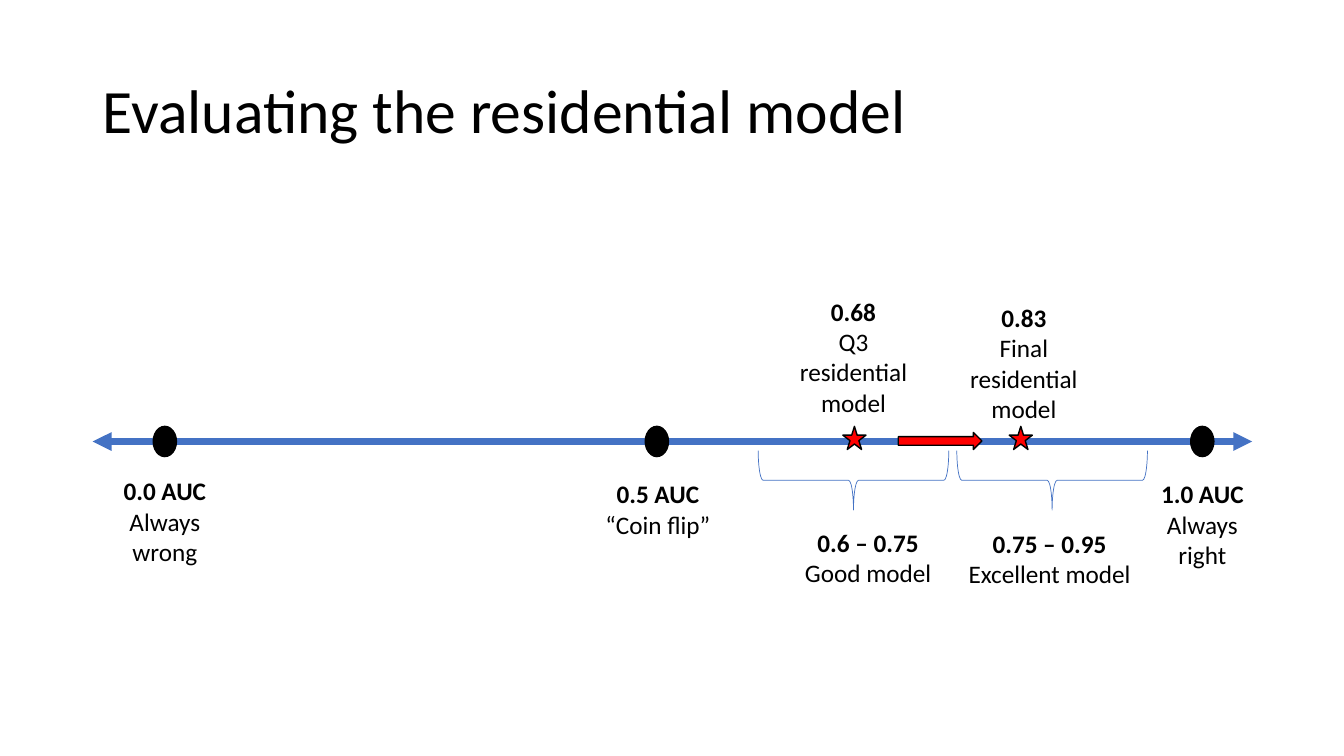
from lxml import etree
from pptx import Presentation
from pptx.dml.color import RGBColor
from pptx.enum.shapes import MSO_CONNECTOR, MSO_SHAPE
from pptx.enum.text import MSO_ANCHOR, PP_ALIGN
from pptx.oxml.ns import qn
from pptx.util import Inches, Pt

LINE = MSO_CONNECTOR.STRAIGHT
DOT, STAR = MSO_SHAPE.OVAL, MSO_SHAPE.STAR_5_POINT
ARROW, BRACE = MSO_SHAPE.RIGHT_ARROW, MSO_SHAPE.LEFT_BRACE
MIDDLE, TOP = MSO_ANCHOR.MIDDLE, MSO_ANCHOR.TOP
LEFT, CENTER = PP_ALIGN.LEFT, PP_ALIGN.CENTER
BLACK = RGBColor(0x00, 0x00, 0x00)
BLUE = RGBColor(0x44, 0x72, 0xC4)
RED = RGBColor(0xFF, 0x00, 0x00)

# Content: labels are (score, note, left, top, width, height)
TITLE = "Evaluating the residential model"
LABELS = [
    ("0.0 AUC", "Always wrong", 1.03, 4.67, 1.21, 1.01),
    ("1.0 AUC", "Always right", 11.32, 4.7, 1.21, 1.01),
    ("0.5 AUC", "“Coin flip”", 5.84, 4.7, 1.37, 0.71),
    ("0.6 – 0.75", "Good model", 7.8, 5.18, 1.62, 0.71),
    ("0.75 – 0.95", "Excellent model", 9.5, 5.19, 1.82, 0.71),
    ("0.68", "Q3 residential model", 7.72, 2.89, 1.49, 1.31),
    ("0.83", "Final residential model", 9.41, 2.95, 1.49, 1.31),
]
AXIS = (0.92, 12.42, 4.38)  # start, end, height on the slide
DOTS = [1.52, 6.4, 11.81]
STARS = [8.36, 10.01]
BRACES = [8.17, 10.14]

deck = Presentation()
deck.slide_width, deck.slide_height = Inches(13.33), Inches(7.5)
slide = deck.slides.add_slide(deck.slide_layouts[6])
shapes = slide.shapes


def add_text(lines, box, size, align, anchor=TOP, space=1.0):
    """Write (text, bold) lines into a wrapped text box."""
    frame = shapes.add_textbox(*map(Inches, box)).text_frame
    frame.word_wrap = True
    frame.vertical_anchor = anchor
    for i, (text, bold) in enumerate(lines):
        para = frame.add_paragraph() if i else frame.paragraphs[0]
        para.alignment, para.line_spacing = align, space
        run = para.add_run()
        run.text = text
        look = {"name": "Calibri", "size": Pt(size), "bold": bold}
        for key, value in look.items():
            setattr(run.font, key, value)
        run.font.color.rgb = BLACK


def add_mark(kind, box, fill, line=BLACK, width=1, turn=0):
    mark = shapes.add_shape(kind, *map(Inches, box))
    mark.shadow.inherit = False
    mark.rotation = turn
    if fill is None:
        mark.fill.background()
    else:
        mark.fill.solid()
        mark.fill.fore_color.rgb = fill
    mark.line.color.rgb = line
    mark.line.width = Pt(width)


# Title
add_text([(TITLE, False)], (0.92, 0.4, 11.5, 1.45), 44, LEFT, MIDDLE, 0.9)

# Score axis with an arrowhead at each end
start, end, level = map(Inches, AXIS)
axis = shapes.add_connector(LINE, start, level, end, level)
axis.line.color.rgb = BLUE
axis.line.width = Pt(4.5)
for tag in ("a:headEnd", "a:tailEnd"):
    etree.SubElement(axis.line._get_or_add_ln(), qn(tag)).set("type", "triangle")
etree.SubElement(axis._element.spPr, qn("a:effectLst"))

# Marks on and below the axis
for x in DOTS:
    add_mark(DOT, (x, 4.23, 0.23, 0.3), BLACK)
for x in BRACES:
    add_mark(BRACE, (x, 3.82, 0.59, 1.89), None, BLUE, 0.5, 270)
for x in STARS:
    add_mark(STAR, (x, 4.23, 0.23, 0.23), RED)
add_mark(ARROW, (8.91, 4.29, 0.83, 0.17), RED)

# Labels
for score, note, *box in LABELS:
    add_text([(score, True), (note, False)], box, 18, CENTER)

deck.save("out.pptx")
